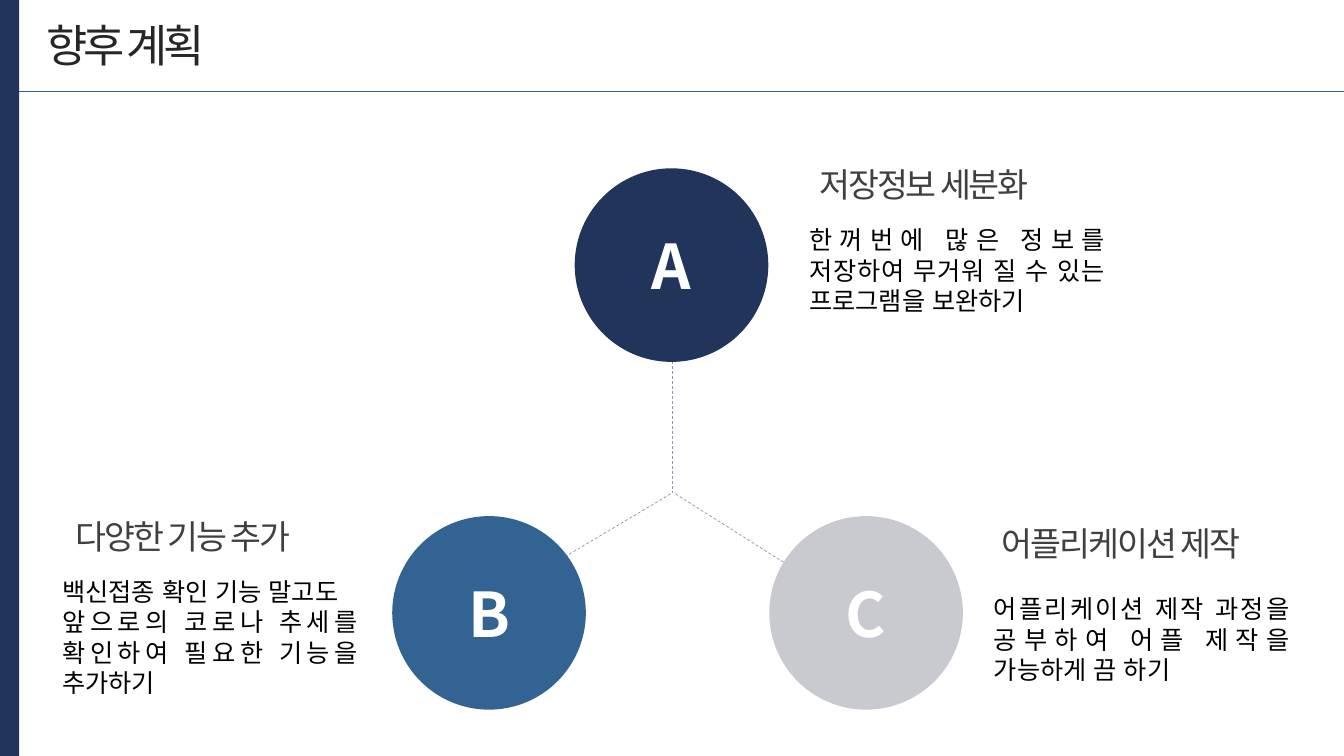
from lxml.etree import SubElement
from pptx import Presentation
from pptx.dml.color import RGBColor
from pptx.enum.dml import MSO_LINE
from pptx.enum.shapes import MSO_CONNECTOR, MSO_SHAPE
from pptx.enum.text import MSO_ANCHOR, PP_ALIGN
from pptx.oxml.ns import qn
from pptx.util import Inches, Pt

TITLE = "향후 계획"
NOTO = "Noto Sans CJK KR"
DIAMETER = 1.92
PLANS = [
    dict(letter="A", color="21345C", circle=(5.7, 1.67),
         heading="저장정보 세분화", heading_box=(7.87, 1.58, 2.59, 0.5),
         body=["한꺼번에 많은 정보를 저장하여 무거워 질 수 있는 프로그램을 보완하기"],
         body_box=(7.93, 2.18, 3.13, 1.01)),
    dict(letter="B", color="326393", circle=(3.89, 5.12),
         heading="다양한 기능 추가", heading_box=(0.52, 5.07, 2.59, 0.5),
         body=["백신접종 확인 기능 말고도 ",
               "앞으로의 코로나 추세를 확인하여 필요한 기능을 추가하기 "],
         body_box=(0.52, 5.67, 3.13, 1.01)),
    dict(letter="C", color="C9CACF", circle=(7.63, 5.12),
         heading="어플리케이션 제작 ", heading_box=(9.69, 5.14, 2.91, 0.5),
         body=["어플리케이션 제작 과정을 공부하여 어플 제작을 가능하게 끔 하기 "],
         body_box=(9.76, 5.84, 3.13, 0.71)),
]
SPOKES = [(6.67, 3.58, 6.67, 4.89), (6.65, 4.9, 5.24, 5.74), (6.7, 4.9, 7.87, 5.64)]


def rgb(color):
    return RGBColor.from_string(color)


def add_line(ends, color, dash=None):
    line = s.shapes.add_connector(MSO_CONNECTOR.STRAIGHT, *map(Inches, ends))
    line.line.color.rgb = rgb(color)
    line.line.width = Pt(0.5)
    if dash:
        line.line.dash_style = dash
    SubElement(line._element.spPr, qn("a:effectLst"))


def add_filled(kind, box, color):
    sp = s.shapes.add_shape(kind, *map(Inches, box))
    sp.shadow.inherit = False
    sp.fill.solid()
    sp.fill.fore_color.rgb = rgb(color)
    sp.line.fill.background()
    return sp


def write(sp, lines, size, font, color, align, bold=False, spacing=0,
          anchor=MSO_ANCHOR.MIDDLE, wrap=False):
    tf = sp.text_frame
    tf.text = "\n".join(lines)
    tf.word_wrap = wrap
    tf.vertical_anchor = anchor
    for p in tf.paragraphs:
        p.alignment = align
        for r in p.runs:
            r.font.size = Pt(size)
            r.font.name = font
            r.font.bold = bold
            r.font.color.rgb = rgb(color)
            rPr = r._r.get_or_add_rPr()
            SubElement(rPr, qn("a:ea")).set("typeface", font)
            if spacing:
                rPr.set("spc", str(int(spacing * 100)))


def place(sp, box):
    sp.left, sp.top, sp.width, sp.height = map(Inches, box)


prs = Presentation()
prs.slide_width, prs.slide_height = Inches(13.33), Inches(7.5)
s = prs.slides.add_slide(prs.slide_layouts[5])

add_line((0.19, 0.91, 13.33, 0.91), "326393")
add_filled(MSO_SHAPE.RECTANGLE, (0, 0, 0.19, 7.5), "21345C")
place(s.shapes.title, (0.36, 0.12, 1.94, 0.64))
write(s.shapes.title, [TITLE], 32, NOTO, "262626", PP_ALIGN.LEFT, spacing=-3)

for spoke in SPOKES:
    add_line(spoke, "8497B0", MSO_LINE.DASH)

for plan in PLANS:
    circle = add_filled(MSO_SHAPE.OVAL, (*plan["circle"], DIAMETER, DIAMETER), plan["color"])
    write(circle, [plan["letter"]], 44, NOTO, "FFFFFF", PP_ALIGN.CENTER, bold=True)
    body = s.shapes.add_textbox(*map(Inches, plan["body_box"]))
    write(body, plan["body"], 18, "Arial", "000000", PP_ALIGN.JUSTIFY,
          anchor=MSO_ANCHOR.TOP, wrap=True)
    heading = s.shapes.add_textbox(*map(Inches, plan["heading_box"]))
    write(heading, [plan["heading"]], 24, NOTO, "404040", PP_ALIGN.CENTER, spacing=-1.5)

prs.save("out.pptx")
